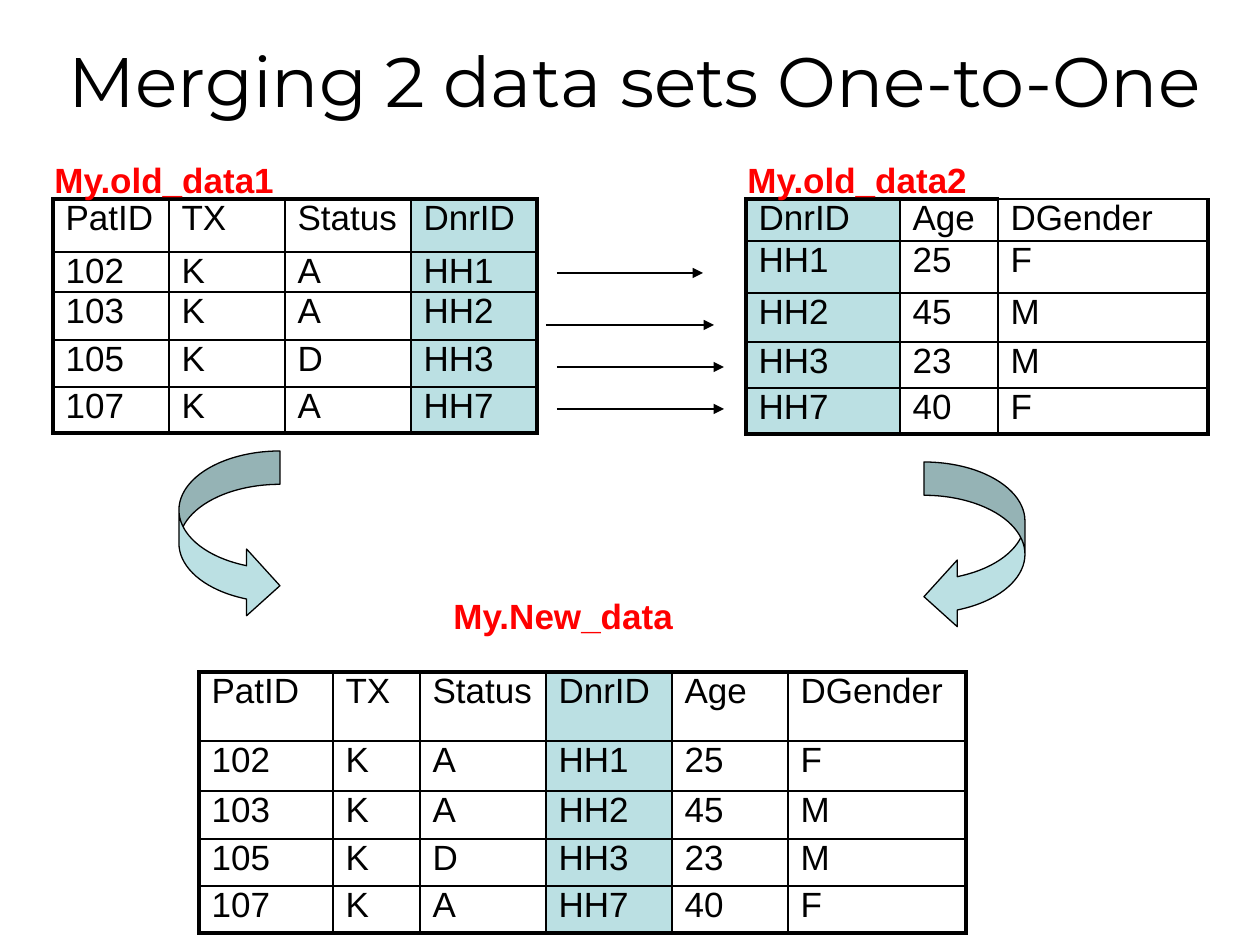
from lxml import etree
from pptx import Presentation
from pptx.dml.color import RGBColor
from pptx.enum.shapes import MSO_CONNECTOR, MSO_SHAPE
from pptx.enum.text import MSO_ANCHOR, MSO_AUTO_SIZE, PP_ALIGN
from pptx.oxml.ns import qn
from pptx.util import Pt

PX = 914400 / 126
BLACK = RGBColor(0, 0, 0)
RED = RGBColor(255, 0, 0)
TEAL = RGBColor(0xBB, 0xE0, 0xE3)
STRAIGHT = MSO_CONNECTOR.STRAIGHT
RIGHT_ARROW = MSO_SHAPE.CURVED_RIGHT_ARROW
LEFT_ARROW = MSO_SHAPE.CURVED_LEFT_ARROW
MIDDLE, TOP = MSO_ANCHOR.MIDDLE, MSO_ANCHOR.TOP
CENTER = PP_ALIGN.CENTER
FIT_SHAPE, NO_FIT = MSO_AUTO_SIZE.SHAPE_TO_FIT_TEXT, MSO_AUTO_SIZE.NONE
THIN, THICK = Pt(1), Pt(2.25)
KEY = "DnrID"

PATIENTS = [
    ["PatID", "TX", "Status", KEY],
    ["102", "K", "A", "HH1"],
    ["103", "K", "A", "HH2"],
    ["105", "K", "D", "HH3"],
    ["107", "K", "A", "HH7"],
]
DONORS = [
    [KEY, "Age", "DGender"],
    ["HH1", "25", "F"],
    ["HH2", "45", "M"],
    ["HH3", "23", "M"],
    ["HH7", "40", "F"],
]
MERGED = [patient + donor[1:] for patient, donor in zip(PATIENTS, DONORS)]


def px(*lengths):
    return [round(length * PX) for length in lengths]


def style_text(para, size, color, font="Arial", bold=False):
    for span in para.runs:
        span.font.name = font
        span.font.size = Pt(size)
        span.font.bold = bold
        span.font.color.rgb = color


def add_title(page, box, text):
    title = page.shapes.title
    title.left, title.top, title.width, title.height = px(*box)
    frame = title.text_frame
    frame.text = text
    frame.auto_size = NO_FIT
    frame.vertical_anchor = MIDDLE
    frame.paragraphs[0].alignment = CENTER
    style_text(frame.paragraphs[0], 40, BLACK, "Montserrat")


def set_borders(cell, widths):
    """Draw black borders; widths maps the sides L, R, T and B to line widths."""
    properties = cell._tc.get_or_add_tcPr()
    for side in "LRTB":
        line = etree.SubElement(properties, qn(f"a:ln{side}"), w=str(widths[side]))
        fill = etree.SubElement(line, qn("a:solidFill"))
        etree.SubElement(fill, qn("a:srgbClr"), val=str(BLACK))


def add_data_table(page, left, top, widths, heights, rows, open_corner=False):
    """Add a table with a thick frame; open_corner thins the last header's top."""
    box = px(left, top, sum(widths), sum(heights))
    table = page.shapes.add_table(len(rows), len(widths), *box).table
    table.first_row = table.horz_banding = False
    for column, width in zip(table.columns, px(*widths)):
        column.width = width
    for row, height in zip(table.rows, px(*heights)):
        row.height = height

    last_row, last_column = len(rows) - 1, len(widths) - 1
    key_column = rows[0].index(KEY)
    for i, values in enumerate(rows):
        for j, value in enumerate(values):
            cell = table.cell(i, j)
            cell.text = value
            cell.vertical_anchor = TOP
            cell.margin_top = cell.margin_bottom = 0
            style_text(cell.text_frame.paragraphs[0], 20, BLACK)
            thick_top = i == 0 and not (open_corner and j == last_column)
            set_borders(cell, {
                "L": THICK if j == 0 else THIN,
                "R": THICK if j == last_column else THIN,
                "T": THICK if thick_top else THIN,
                "B": THICK if i == last_row else THIN,
            })
            if j == key_column:
                cell.fill.solid()
                cell.fill.fore_color.rgb = TEAL
            else:
                cell.fill.background()


def add_label(page, left, top, text):
    frame = page.shapes.add_textbox(*px(left, top, 247, 55)).text_frame
    frame.text = text
    frame.word_wrap = False
    frame.auto_size = FIT_SHAPE
    style_text(frame.paragraphs[0], 20, RED, bold=True)


def add_curved_arrow(page, preset, left, top):
    arrow = page.shapes.add_shape(preset, *px(left, top, 101, 168))
    for index, value in enumerate((0.33, 0.66, 0.33)):
        arrow.adjustments[index] = value
    arrow.shadow.inherit = False
    arrow.fill.solid()
    arrow.fill.fore_color.rgb = TEAL
    arrow.line.color.rgb = BLACK
    arrow.line.width = Pt(0.75)


def add_match_arrow(page, start, end, y):
    arrow = page.shapes.add_connector(STRAIGHT, *px(start, y, end, y))
    arrow.line.color.rgb = BLACK
    arrow.line.width = Pt(0.75)
    etree.SubElement(arrow.line._get_or_add_ln(), qn("a:tailEnd"), type="triangle")
    etree.SubElement(arrow._element.spPr, qn("a:effectLst"))


def main():
    deck = Presentation()
    deck.slide_width, deck.slide_height = px(1260, 945)
    page = deck.slides.add_slide(deck.slide_layouts[5])

    add_title(page, (10, 0, 1250, 158), "Merging 2 data sets One-to-One")
    add_data_table(page, 746, 199, (154, 98, 210), (42, 52, 49, 46, 46),
                   DONORS, open_corner=True)
    add_data_table(page, 53, 199, (116, 116, 126, 126), (53, 40, 48, 47, 46),
                   PATIENTS)
    add_data_table(page, 199, 672, (134, 87, 126, 126, 116, 178),
                   (69, 50, 48, 47, 47), MERGED)

    add_curved_arrow(page, RIGHT_ARROW, 179, 451)
    add_curved_arrow(page, LEFT_ARROW, 924, 462)

    add_label(page, 42, 152, "My.old_data1")
    add_label(page, 735, 152, "My.old_data2")
    add_label(page, 441, 588, "My.New_data")

    for start, end, y in ((557, 703, 273), (546, 714, 325),
                          (557, 724, 367), (557, 724, 409)):
        add_match_arrow(page, start, end, y)

    deck.save("out.pptx")


if __name__ == "__main__":
    main()
